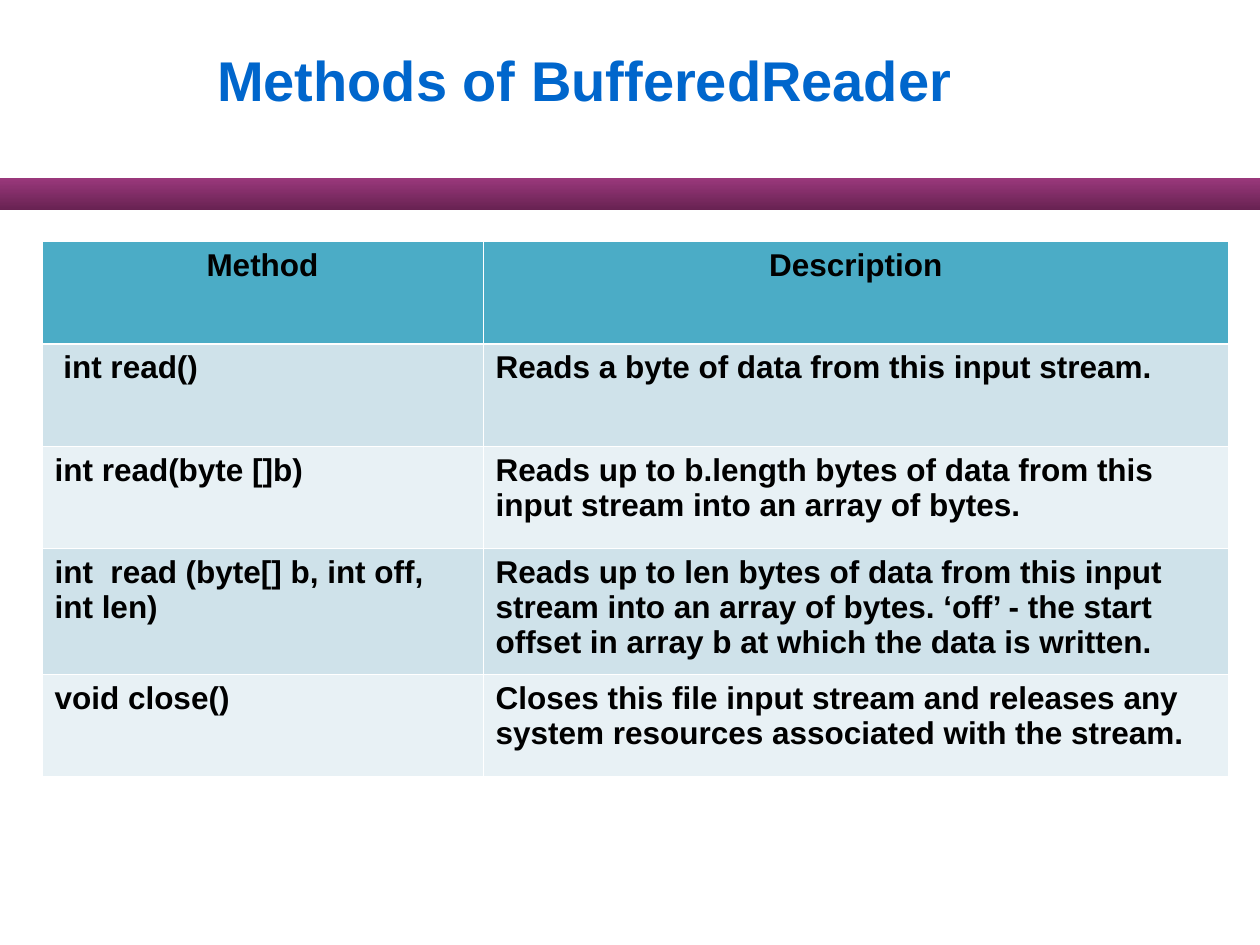
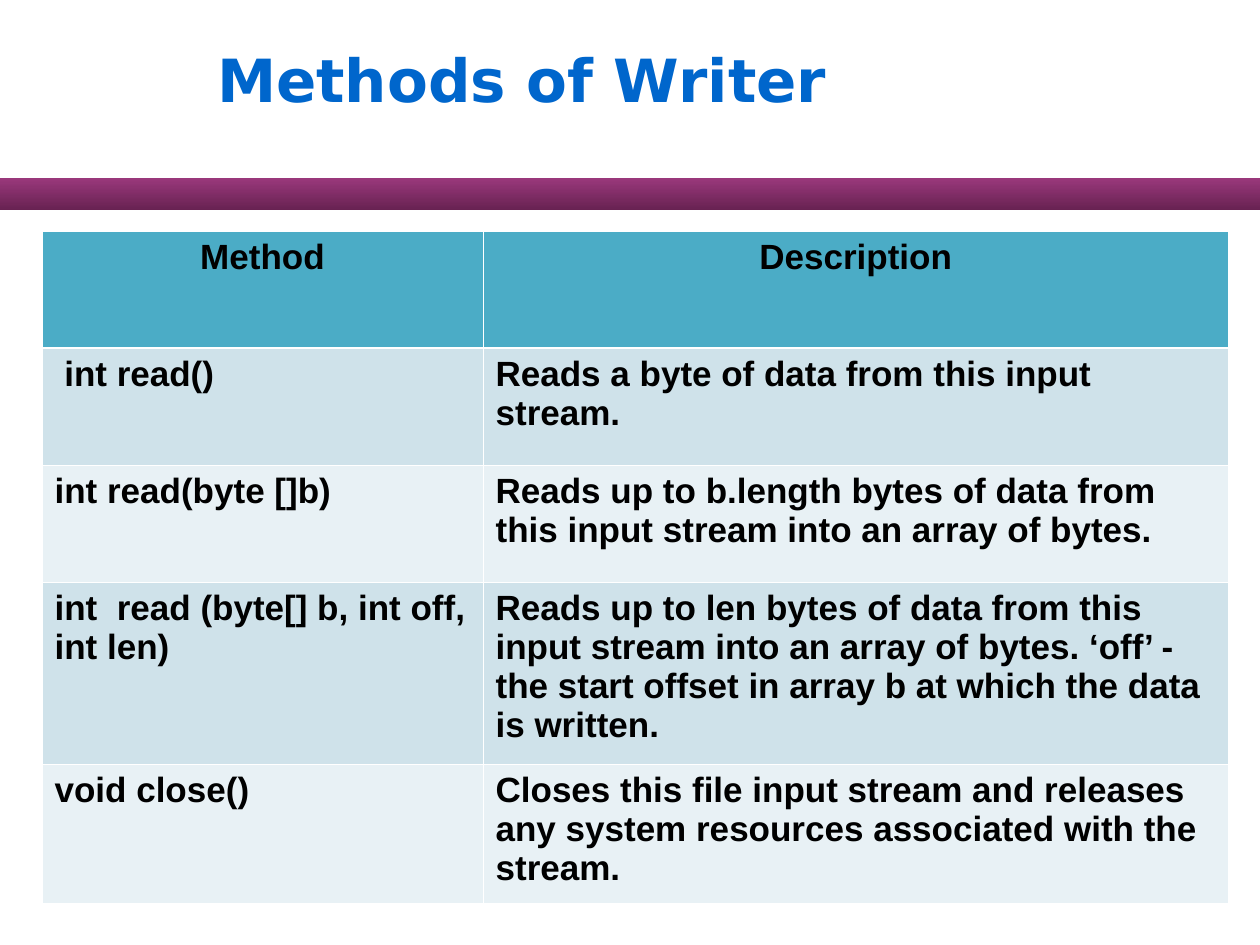
from dataclasses import dataclass

import pptx
import pptx.dml.color
import pptx.enum.shapes
import pptx.enum.text
import pptx.oxml
import pptx.oxml.ns
import pptx.util

Pt = pptx.util.Pt
RGB = pptx.dml.color.RGBColor.from_string
ALIGN = pptx.enum.text.PP_ALIGN


@dataclass(frozen=True)
class Theme:
    font: str = "Arial"
    alt: str = "DejaVu Sans"
    title: str = "0066CC"
    ink: str = "000000"
    dark: str = "682252"
    light: str = "99387B"
    head: str = "4BACC6"
    odd: str = "CFE2EA"
    even: str = "E8F1F5"
    rule: str = "FFFFFF"
    thin: float = 0.45
    thick: float = 1.47
    big: int = 32
    huge: int = 34
    small: int = 18
    medium: int = 20


theme = Theme()


def write(para, text, font, size, color):
    run = para.add_run()
    run.text = text
    run.font.name = font
    run.font.size = Pt(size)
    run.font.bold = True
    run.font.color.rgb = RGB(color)


def edge(cell, side, width):
    """Draw one border of a cell; side is L, R, T or B."""
    names = pptx.oxml.ns.nsdecls("a")
    line = pptx.oxml.parse_xml(
        f'<a:ln{side} {names} w="{int(Pt(width))}"><a:solidFill>'
        f'<a:srgbClr val="{theme.rule}"/></a:solidFill></a:ln{side}>')
    cell._tc.get_or_add_tcPr().append(line)


methods = [
    ("Method", "Description"),
    (" int read()", "Reads a byte of data from this input stream."),
    ("int read(byte []b)",
     "Reads up to b.length bytes of data from this input stream into an "
     "array of bytes."),
    ("int  read (byte[] b, int off, int len)",
     "Reads up to len bytes of data from this input stream into an array of "
     "bytes. ‘off’ - the start offset in array b at which the data is "
     "written."),
    ("void close()",
     "Closes this file input stream and releases any system resources "
     "associated with the stream."),
]
widths = [252, 426]

# title runs, title width, table top, text size, row heights
pages = [
    ([(" Methods of BufferedReader", theme.font, theme.big)],
     594, 138, theme.small, [58.5, 58.5, 58.5, 72, 58.5]),
    ([(" ", theme.font, theme.big),
      ("Methods of Writer", theme.alt, theme.huge)],
     612, 132, theme.medium, [67, 67, 67, 104, 79.5]),
]

deck = pptx.Presentation()
deck.slide_width, deck.slide_height = Pt(720), Pt(540)

for runs, wide, top, size, heights in pages:
    slide = deck.slides.add_slide(deck.slide_layouts[5])

    # Band under the title, light at the top
    band = slide.shapes.add_shape(
        pptx.enum.shapes.MSO_SHAPE.RECTANGLE, 0, Pt(102), Pt(720), Pt(18))
    band.shadow.inherit = False
    band.line.fill.background()
    band.fill.gradient()
    band.fill.gradient_angle = 90
    for stop, color in zip(band.fill.gradient_stops, (theme.dark, theme.light)):
        stop.color.rgb = RGB(color)

    # Title
    title = slide.shapes.title
    title.left, title.top = Pt(108), Pt(0)
    title.width, title.height = Pt(wide), Pt(90)
    frame = title.text_frame
    frame.auto_size = pptx.enum.text.MSO_AUTO_SIZE.NONE
    frame.vertical_anchor = pptx.enum.text.MSO_ANCHOR.MIDDLE
    para = frame.paragraphs[0]
    para.alignment = ALIGN.LEFT
    for text, font, points in runs:
        write(para, text, font, points, theme.title)

    # Method table
    table = slide.shapes.add_table(
        len(methods), len(widths), Pt(24), Pt(top),
        Pt(sum(widths)), Pt(sum(heights))).table
    table.horz_banding = False
    for col, width in zip(table.columns, widths):
        col.width = Pt(width)
    for r, (row, height) in enumerate(zip(table.rows, heights)):
        row.height = Pt(height)
        shade = theme.head if r == 0 else theme.odd if r % 2 else theme.even
        for cell, text in zip(row.cells, methods[r]):
            edge(cell, "L", theme.thin)
            edge(cell, "R", theme.thin)
            edge(cell, "T", theme.thick if r == 1 else theme.thin)
            edge(cell, "B", theme.thick if r == 0 else theme.thin)
            cell.fill.solid()
            cell.fill.fore_color.rgb = RGB(shade)
            para = cell.text_frame.paragraphs[0]
            para.alignment = ALIGN.LEFT if r else ALIGN.CENTER
            write(para, text, theme.font, size, theme.ink)

deck.save("out.pptx")
